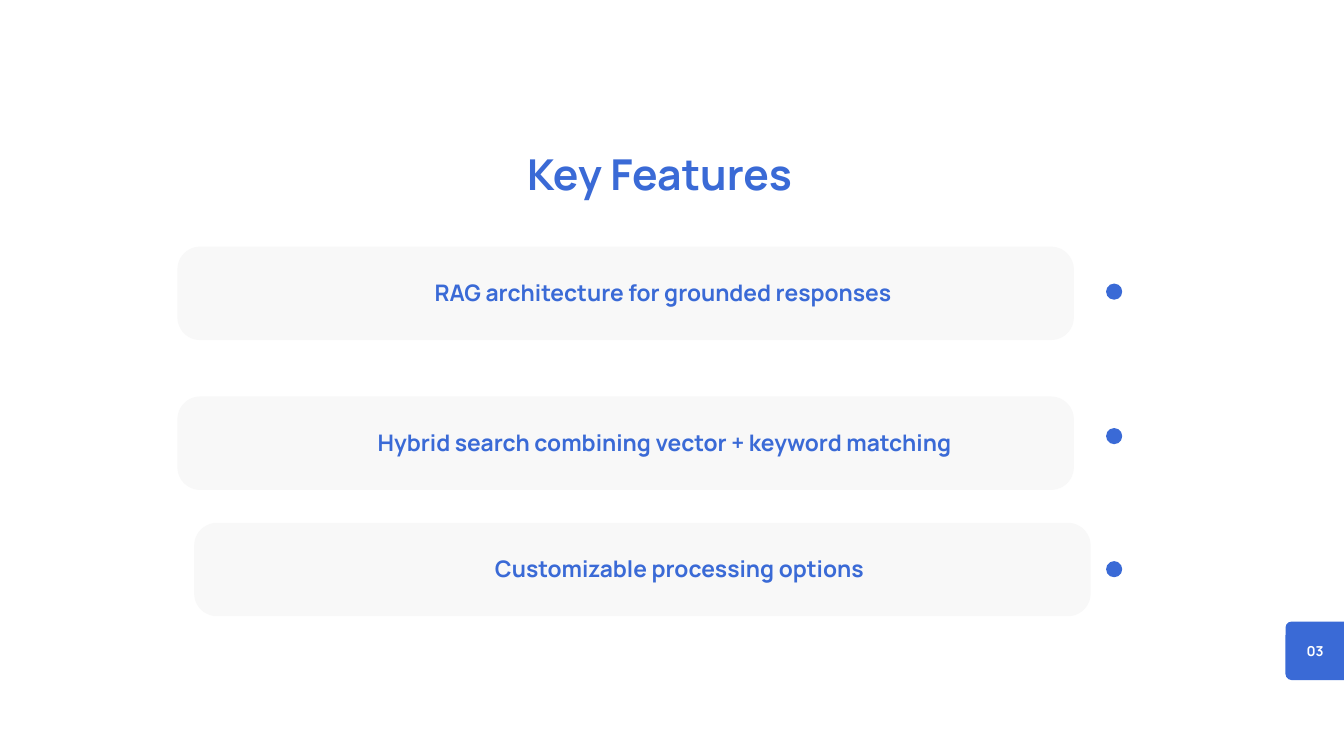
import dataclasses

import pptx
import pptx.dml.color
import pptx.enum.shapes
import pptx.enum.text
import pptx.util
from pptx.util import Inches

SHAPES = pptx.enum.shapes.MSO_SHAPE
ALIGN = pptx.enum.text.PP_ALIGN


@dataclasses.dataclass(frozen=True)
class Theme:
    """Colours, font and type sizes of the deck."""

    blue: str = "3A6AD6"
    card: str = "F8F8F8"
    white: str = "FFFFFF"
    font: str = "Manrope"
    title_size: float = 45.6
    feature_size: float = 24.4
    number_size: float = 14.7


THEME = Theme()


def color(value):
    """Turn a hex string into a colour."""
    return pptx.dml.color.RGBColor.from_string(value)


def add_block(slide, kind, box, fill, radius=None):
    """Add a borderless filled shape in a box, with a corner radius in inches."""
    shape = slide.shapes.add_shape(kind, *map(Inches, box))
    shape.shadow.inherit = False
    shape.fill.solid()
    shape.fill.fore_color.rgb = color(fill)
    shape.line.fill.background()
    if radius is not None:
        shape.adjustments[0] = radius / min(box[2:])
    return shape


def add_label(slide, text, box, size, line_height, fill, alignment):
    """Add one bold line of text in a box without margins."""
    frame = slide.shapes.add_textbox(*map(Inches, box)).text_frame
    frame.word_wrap = True
    frame.margin_left = frame.margin_right = 0
    frame.margin_top = frame.margin_bottom = 0
    paragraph = frame.paragraphs[0]
    paragraph.text = text
    paragraph.alignment = alignment
    paragraph.line_spacing = pptx.util.Pt(line_height)
    paragraph.font.name = THEME.font
    paragraph.font.size = pptx.util.Pt(size)
    paragraph.font.bold = True
    paragraph.font.color.rgb = color(fill)


def add_title(slide, box, text):
    """Add the centred slide title."""
    add_label(slide, text, box, THEME.title_size, 63.9, THEME.blue, ALIGN.CENTER)


def add_feature(slide, box, text, text_right, dot_left, dot_top):
    """Add a feature card with its text and the dot beside it."""
    left, top, width, height = box
    text_width = 10.73
    add_block(slide, SHAPES.ROUNDED_RECTANGLE, box, THEME.card, 0.34)
    text_box = (left + text_right - text_width, top + 0.41, text_width, 0.48)
    add_label(slide, text, text_box, THEME.feature_size, 34.2, THEME.blue, ALIGN.RIGHT)
    dot_box = (left + dot_left, top + dot_top, 0.24, 0.24)
    add_block(slide, SHAPES.OVAL, dot_box, THEME.blue)


def add_page_number(slide, box, text):
    """Add the page number badge that runs off the right edge."""
    left, top, width, height = box
    add_block(slide, SHAPES.ROUNDED_RECTANGLE, box, THEME.blue, 0.09)
    text_box = (left + 0.2, top + 0.28, 0.48, 0.28)
    add_label(slide, text, text_box, THEME.number_size, 20.6, THEME.white, ALIGN.CENTER)


def build_features_slide(presentation):
    """Build the key features slide."""
    slide = presentation.slides.add_slide(presentation.slide_layouts[6])
    slide.background.fill.solid()
    slide.background.fill.fore_color.rgb = color(THEME.white)
    add_page_number(slide, (19.13, 9.25, 1.04, 0.87), "03")
    add_title(slide, (5.66, 2.08, 8.31, 0.9), "Key Features")
    features = [
        ("RAG architecture for grounded responses", 2.64, 3.67, 10.62, 0.55),
        ("Hybrid search combining vector + keyword matching", 2.64, 5.9, 11.51, 0.47),
        ("Customizable processing options", 2.89, 7.78, 9.96, 0.57),
    ]
    for text, left, top, text_right, dot_top in features:
        box = (left, top, 13.34, 1.39)
        add_feature(slide, box, text, text_right, 16.46 - left, dot_top)


def main():
    """Create the presentation and save it."""
    presentation = pptx.Presentation()
    presentation.slide_width = Inches(20)
    presentation.slide_height = Inches(11.25)
    build_features_slide(presentation)
    presentation.save("out.pptx")


if __name__ == "__main__":
    main()
